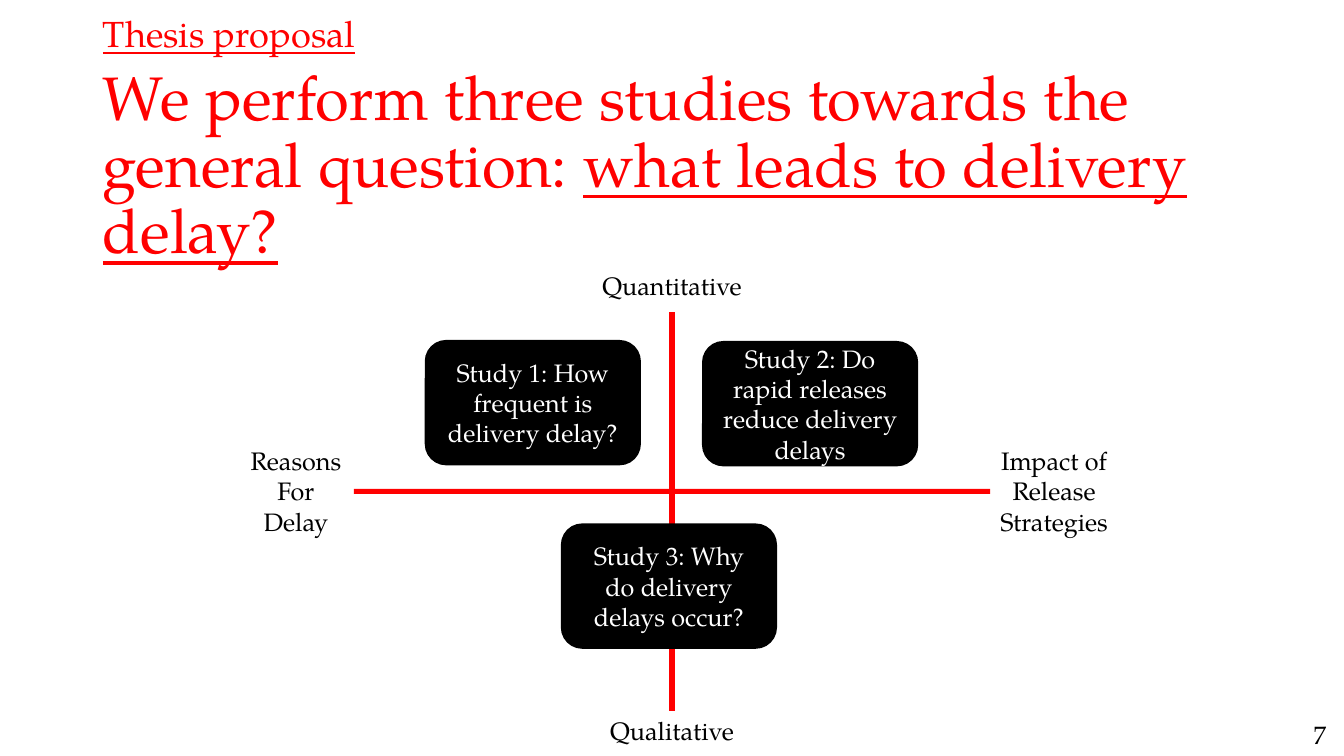
from pptx import Presentation
from pptx import util as u
from pptx.dml.color import RGBColor
from pptx.enum import shapes, text
from pptx.oxml.ns import qn

PX = 9144  # EMU per px, 100 px to the inch
RED = RGBColor(0xFF, 0x00, 0x00)
BLACK = RGBColor(0x00, 0x00, 0x00)
WHITE = RGBColor(0xFF, 0xFF, 0xFF)
FONT = "TeX Gyre Pagella"
LEFT, CENTER = text.PP_ALIGN.LEFT, text.PP_ALIGN.CENTER
TOP, MIDDLE = text.MSO_ANCHOR.TOP, text.MSO_ANCHOR.MIDDLE
FIXED, GROW = text.MSO_AUTO_SIZE.NONE, text.MSO_AUTO_SIZE.SHAPE_TO_FIT_TEXT

LABEL_W = 165
STUDY_W, STUDY_H = 213, 123
AXES = [
    (shapes.MSO_SHAPE.FLOWCHART_PROCESS, (664, 310, 5, 395)),
    (shapes.MSO_SHAPE.RECTANGLE, (351, 485, 631, 5)),
]
LABELS = [
    ("Quantitative", 584, 263, 40),
    ("Qualitative", 584, 705, 40),
    ("Reasons\nFor\nDelay", 211, 437, 101),
    ("Impact of\nRelease\nStrategies", 963, 437, 101),
]
STUDIES = [
    ("Study 1: How frequent is delivery delay?", 422, 338),
    ("Study 2: Do rapid releases reduce delivery delays", 697, 339),
    ("Study 3: Why do delivery delays occur?", 557, 520),
]


class SlideBuilder:
    def __init__(self, prs):
        self.slide = prs.slides.add_slide(prs.slide_layouts[1])

    def add_text(self, sp, lines, size, color, align, anchor=TOP, fit=FIXED, spacing=None):
        """Fill a shape; each line is a list of (words, underlined) runs."""
        tf = sp.text_frame
        frame_format = {"word_wrap": True, "auto_size": fit, "vertical_anchor": anchor}
        for name, value in frame_format.items():
            setattr(tf, name, value)
        for i, runs in enumerate(lines):
            p = tf.add_paragraph() if i else tf.paragraphs[0]
            para_format = {"alignment": align, "line_spacing": spacing, "space_before": u.Pt(0)}
            for name, value in para_format.items():
                setattr(p, name, value)
            for words, underlined in runs:
                r = p.add_run()
                r.text = words
                font_format = {"name": FONT, "size": u.Pt(size), "underline": underlined}
                for name, value in font_format.items():
                    setattr(r.font, name, value)
                r.font.color.rgb = color

    def placeholder(self, idx, box, runs, size, spacing):
        sp = self.slide.placeholders[idx]
        for name, value in zip(("left", "top", "width", "height"), box):
            setattr(sp, name, value * PX)
        self.add_text(sp, [runs], size, RED, LEFT, spacing=spacing)
        return sp

    def title(self, box, runs):
        self.placeholder(0, box, runs, 44, 0.9)

    def kicker(self, box, words):
        """Put an underlined line without a bullet in the body placeholder."""
        sp = self.placeholder(1, box, [(words, True)], 25.9, 0.7)
        pPr = sp.text_frame.paragraphs[0]._p.get_or_add_pPr()
        pPr.set("marL", "0")
        pPr.set("indent", "0")
        pPr.append(pPr.makeelement(qn("a:buNone"), {}))

    def shape(self, kind, box, color):
        sp = self.slide.shapes.add_shape(kind, *(n * PX for n in box))
        sp.shadow.inherit = False
        sp.fill.solid()
        sp.fill.fore_color.rgb = color
        sp.line.fill.background()
        return sp

    def study(self, words, left, top):
        kind = shapes.MSO_SHAPE.ROUNDED_RECTANGLE
        sp = self.shape(kind, (left, top, STUDY_W, STUDY_H), BLACK)
        sp.line.color.rgb = BLACK
        sp.line.width = u.Pt(1)
        self.add_text(sp, [[(words, False)]], 18, WHITE, CENTER, MIDDLE)

    def label(self, words, left, top, height, width=LABEL_W, align=CENTER):
        sp = self.slide.shapes.add_textbox(*(n * PX for n in (left, top, width, height)))
        lines = [[(line, False)] for line in words.split("\n")]
        self.add_text(sp, lines, 18, BLACK, align, fit=GROW)


def main():
    prs = Presentation()
    prs.slide_width, prs.slide_height = 1333 * PX, 750 * PX
    s = SlideBuilder(prs)
    s.title((92, 62, 1150, 253), [
        ("We perform three studies towards the general question: ", False),
        ("what leads to delivery delay?", True),
    ])
    s.kicker((92, 18, 1150, 44), "Thesis proposal")
    for kind, box in AXES:
        s.shape(kind, box, RED)
    for label in LABELS:
        s.label(*label)
    for study in STUDIES:
        s.study(*study)
    s.label("7", 1293, 709, 40, width=41, align=LEFT)
    prs.save("out.pptx")


if __name__ == "__main__":
    main()
